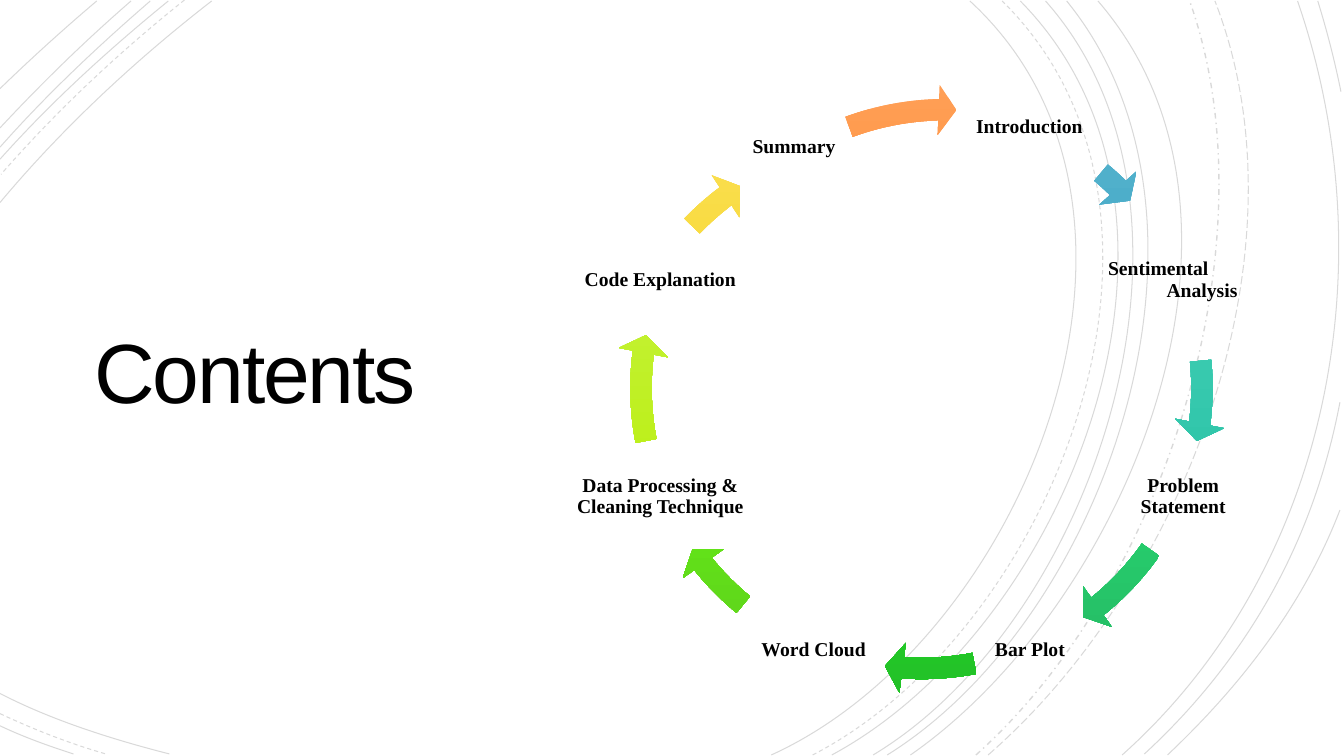
"""Build a contents slide with a ring of arrows over fine curved lines."""
from lxml import etree
from copy import deepcopy
from pptx import Presentation
from pptx.dml.color import RGBColor
from pptx.enum.dml import MSO_LINE
from pptx.enum.shapes import MSO_SHAPE
from pptx.enum.text import MSO_ANCHOR, PP_ALIGN
from pptx.oxml.ns import qn
from pptx.util import Inches, Pt

COLORS = {
    "white": "FFFFFF",
    "black": "000000",
    "blue": ["58B5D0", "309CB9", "2C8FA9"],
    "teal": ["56D8BF", "2BC3A7", "2AB198"],
    "mint": ["55DF8D", "25CF6D", "27B864"],
    "green": ["54E658", "1EDB24", "23C128"],
    "grass": ["89ED54", "63E717", "5DCB1E"],
    "lime": ["CCF454", "BBEF14", "A8D518"],
    "yellow": ["FADF54", "F7D312", "E0C013"],
    "orange": ["FF9F56", "FD7C11", "EA710D"],
}

deck = Presentation()
deck.slide_width, deck.slide_height = Inches(13.33), Inches(7.5)
slide = deck.slides.add_slide(deck.slide_layouts[6])
shapes = slide.shapes
slide.background.fill.solid()
slide.background.fill.fore_color.rgb = RGBColor.from_string(COLORS["white"])


def write(text, box, font="Times New Roman", size=14, bold=True, pad=0.02,
          space=0.9, align=PP_ALIGN.CENTER, track=0, hang=0):
    frame = shapes.add_textbox(*map(Inches, box)).text_frame
    frame.word_wrap = True
    frame.vertical_anchor = MSO_ANCHOR.MIDDLE
    frame.margin_left = frame.margin_right = Inches(pad)
    frame.margin_top = frame.margin_bottom = Inches(pad)
    para = frame.paragraphs[0]
    para.alignment, para.line_spacing = align, space
    run = para.add_run()
    run.text = text
    run.font.name, run.font.size, run.font.bold = font, Pt(size), bold
    run.font.color.rgb = RGBColor.from_string(COLORS["black"])
    if track:
        run.font._element.set("spc", str(track))
    if hang:
        props = para._p.get_or_add_pPr()
        props.set("marL", str(Inches(hang)))
        props.set("indent", str(-Inches(hang)))


SOLID, DASH = MSO_LINE.SOLID, MSO_LINE.DASH
CURVES = [
    (SOLID, (7.65, 7.49), (10.16, 6.35), (11.88, 2.09), (9.62, 0.01)),
    (SOLID, (0, 6.88), (0.52, 7.15), (1.13, 7.34), (1.68, 7.48)),
    (SOLID, (2.1, 0.01), (1.34, 0.6), (0.62, 1.27), (0, 2.01)),
    (DASH, (8.06, 7.49), (10.46, 6.25), (12.08, 2.12), (9.94, 0.01)),
    (DASH, (0, 7.08), (0.34, 7.24), (0.7, 7.38), (1.05, 7.48)),
    (DASH, (1.83, 0), (1.18, 0.52), (0.56, 1.1), (0.01, 1.73)),
    (SOLID, (8.25, 7.49), (10.61, 6.22), (12.21, 2.13), (10.12, 0.01)),
    (SOLID, (0, 7.2), (0.23, 7.31), (0.48, 7.4), (0.73, 7.48)),
    (SOLID, (1.67, 0.01), (1.08, 0.49), (0.51, 1.01), (0, 1.58)),
    (SOLID, (8.66, 7.49), (10.87, 6.16), (12.21, 2.08), (10.37, 0.01)),
    (SOLID, (1.49, 0.01), (0.97, 0.46), (0.46, 0.94), (0, 1.46)),
    (SOLID, (8.8, 7.49), (11, 6.12), (12.33, 2.16), (10.58, 0.01)),
    (SOLID, (1.3, 0.01), (0.84, 0.41), (0.41, 0.83), (0, 1.27)),
    (SOLID, (9.03, 7.49), (11.13, 6.03), (12.78, 2.2), (10.89, 0.01)),
    (SOLID, (0.96, 0.01), (0.63, 0.29), (0.31, 0.58), (0, 0.88)),
    (MSO_LINE.DASH_DOT, (9.68, 7.49), (11.54, 5.83), (12.65, 2.41), (11.8, 0.01)),
    (MSO_LINE.LONG_DASH, (9.8, 7.49), (11.73, 5.81), (13.02, 2.51), (12.05, 0.01)),
    (SOLID, (11.13, 7.49), (13.2, 5.64), (13.76, 2.59), (12.87, 0.01)),
    (SOLID, (11.35, 7.48), (12.38, 6.53), (13.03, 5.36), (13.29, 3.99)),
    (SOLID, (13.3, 0.91), (13.24, 0.61), (13.16, 0.3), (13.07, 0.01)),
    (SOLID, (11.58, 7.49), (12.31, 6.8), (12.93, 6), (13.29, 5.06)),
]
for dash, *knots in CURVES:
    first, *rest = [tuple(map(Inches, knot)) for knot in knots]
    pen = shapes.build_freeform(*first)
    pen.add_line_segments(rest, close=False)
    curve = pen.convert_to_shape()
    trace = curve._element.spPr.find(".//" + qn("a:path"))
    bend = etree.SubElement(trace, qn("a:cubicBezTo"))
    for line in trace.findall(qn("a:lnTo")):
        bend.append(line[0])
        trace.remove(line)
    curve.shadow.inherit = False
    curve.fill.background()
    curve.line.color.rgb = RGBColor.from_string(COLORS["black"])
    curve.line.width = Pt(1 if dash == MSO_LINE.DASH_DOT else 0.75)
    curve.line.dash_style = dash
    ink = curve.line._ln.find(".//" + qn("a:srgbClr"))
    etree.SubElement(ink, qn("a:alpha")).set("val", "15000")

write("Contents ", (0.28, 2.32, 4.71, 2.85), font="Arial", size=60, bold=False,
      pad=0.25, space=0.85, track=-150)

RING = (6.11, 0.82)
TOPICS = [
    ("Introduction", (9.49, 0.72, 1.44, 1.09), "blue", RING, 314.46, 309.81),
    ("Sentimental Analysis", (10.97, 1.98, 1.52, 1.6), "teal", RING, 7.26, 354.42),
    ("Problem Statement", (11.19, 4.38, 1.09, 1.09), "mint", RING, 51.16, 35.23),
    ("Bar Plot", (9.67, 5.9, 1.09, 1.09), "green", RING, 93.86, 79.13),
    ("Word Cloud", (7.36, 5.9, 1.42, 1.09), "grass", RING, 141.16, 129.44),
    ("Data Processing & Cleaning Technique", (5.42, 4.38, 2.26, 1.09),
     "lime", RING, 187.26, 169.13),
    ("Code Explanation", (5.7, 2.23, 1.7, 1.09), "yellow", (5.84, 1.14), 233.03, 223.86),
    ("Summary", (7.33, 0.91, 1.09, 1.09), "orange", (6.35, 0.84), 268.56, 249.84),
]
for topic, box, tint, (left, top), end, start in TOPICS:
    if tint == "teal":
        write(topic, box, align=PP_ALIGN.LEFT, hang=0.58)
    else:
        write(topic, box)
    arrow = shapes.add_shape(MSO_SHAPE.CIRCULAR_ARROW, Inches(left), Inches(top),
                             Inches(6.06), Inches(6.06))
    arrow.shadow.inherit = False
    arrow.line.fill.background()
    for spot, value in enumerate((3.5 / 100, 3.62 * 0.6, end * 0.6, start * 0.6, 4.1 / 100)):
        arrow.adjustments[spot] = value
    arrow.fill.gradient()
    arrow.fill.gradient_angle = 270
    stops = arrow._element.spPr.find(".//" + qn("a:gsLst"))
    stops.append(deepcopy(stops[-1]))
    for stop, place, shade in zip(arrow.fill.gradient_stops, (0, 0.69, 1), COLORS[tint]):
        stop.position = place
        stop.color.rgb = RGBColor.from_string(shade)

deck.save("out.pptx")
